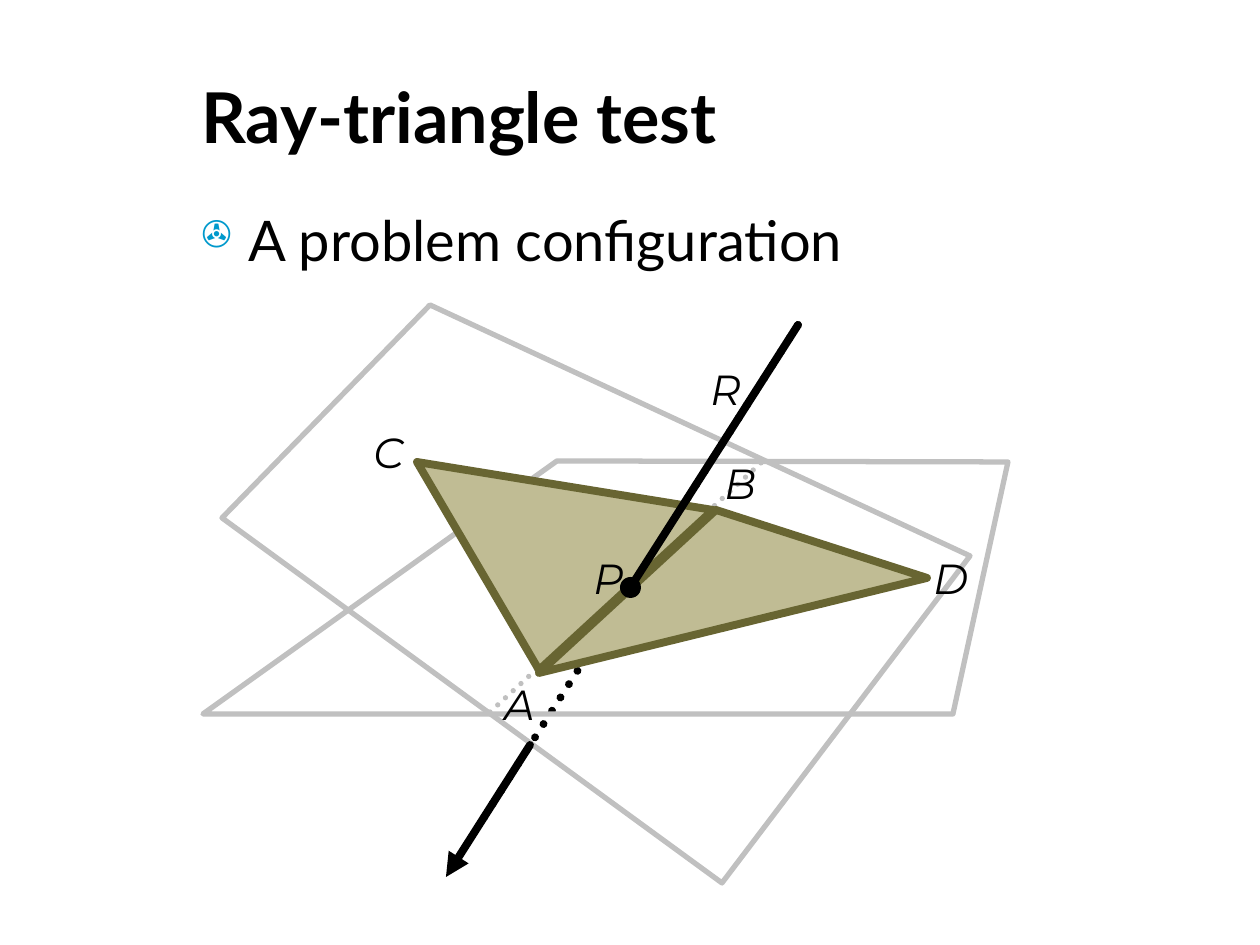
import pptx
import pptx.util
import pptx.dml.color
import pptx.enum.dml
import pptx.enum.shapes
import pptx.enum.text
import pptx.oxml.ns
from dataclasses import dataclass
from lxml import etree

SCALE = 914400 / 126


def px(length):
    return pptx.util.Emu(round(length * SCALE))


def rgb(value):
    return pptx.dml.color.RGBColor.from_string(value)


def add_child(parent, tag, **attributes):
    return etree.SubElement(parent, pptx.oxml.ns.qn(tag), attributes)


@dataclass(frozen=True)
class Theme:
    ink: str = "000000"
    plane: str = "C0C0C0"
    triangle_fill: str = "C0BC94"
    triangle_edge: str = "686532"
    bullet: str = "0099CC"
    text_font: str = "Lato"
    label_font: str = "Montserrat"
    title_size: int = 40
    body_size: int = 32
    label_size: int = 24
    thin: float = 3
    thick: float = 4.5


class Painter:
    def __init__(self, slide, theme):
        self.slide = slide
        self.theme = theme

    def stroke(self, line, color, width, dotted=False, arrow=False):
        line.color.rgb = rgb(color)
        line.width = pptx.util.Pt(width)
        if dotted:
            line.dash_style = pptx.enum.dml.MSO_LINE.ROUND_DOT
        outline = line._get_or_add_ln()
        outline.set("cap", "rnd")
        add_child(outline, "a:round")
        if arrow:
            add_child(outline, "a:tailEnd", type="triangle")

    def text(self, text, left, top, width, height, size, font, bold=False,
             italic=False, wrap=True, anchor=pptx.enum.text.MSO_ANCHOR.TOP):
        box = self.slide.shapes.add_textbox(px(left), px(top), px(width), px(height))
        frame = box.text_frame
        frame.word_wrap = wrap
        frame.vertical_anchor = anchor
        paragraph = frame.paragraphs[0]
        paragraph.text = text
        paragraph.font.size = pptx.util.Pt(size)
        paragraph.font.name = font
        paragraph.font.bold = bold
        paragraph.font.italic = italic
        paragraph.font.color.rgb = rgb(self.theme.ink)
        return paragraph

    def title(self, text):
        self.text(text, 189, 53, 1040, 126, self.theme.title_size, self.theme.text_font,
                  bold=True, anchor=pptx.enum.text.MSO_ANCHOR.MIDDLE)

    def bullet(self, text):
        paragraph = self.text(text, 189, 199, 1040, 97, self.theme.body_size,
                              self.theme.text_font)
        paragraph.space_before = pptx.util.Pt(8)
        properties = paragraph._p.get_or_add_pPr()
        properties.set("marL", str(px(47)))
        properties.set("indent", str(-px(47)))
        defaults = properties.find(pptx.oxml.ns.qn("a:defRPr"))
        color = add_child(properties, "a:buClr")
        add_child(color, "a:srgbClr", val=self.theme.bullet)
        add_child(properties, "a:buSzPct", val="65000")
        add_child(properties, "a:buChar", char="✇")
        properties.append(defaults)

    def label(self, text, left, top):
        self.text(text, left, top, 50, 63, self.theme.label_size,
                  self.theme.label_font, italic=True, wrap=False)

    def polygon(self, points, color, width, fill=None):
        builder = self.slide.shapes.build_freeform(*points[0], scale=SCALE)
        builder.add_line_segments(points[1:], close=True)
        shape = builder.convert_to_shape()
        shape.shadow.inherit = False
        if fill:
            shape.fill.solid()
            shape.fill.fore_color.rgb = rgb(fill)
        else:
            shape.fill.background()
        self.stroke(shape.line, color, width)

    def plane(self, *points):
        self.polygon(points, self.theme.plane, self.theme.thin)

    def triangle(self, *points):
        self.polygon(points, self.theme.triangle_edge, self.theme.thick,
                     self.theme.triangle_fill)

    def line(self, start, end, color, width, dotted=False, arrow=False):
        connector = self.slide.shapes.add_connector(
            pptx.enum.shapes.MSO_CONNECTOR.STRAIGHT,
            *(px(value) for value in (*start, *end)))
        self.stroke(connector.line, color, width, dotted, arrow)
        add_child(connector._element.spPr, "a:effectLst")

    def ray(self, start, end, **options):
        self.line(start, end, self.theme.ink, self.theme.thick, **options)

    def dot(self, left, top, size):
        shape = self.slide.shapes.add_shape(pptx.enum.shapes.MSO_SHAPE.OVAL,
                                            px(left), px(top), px(size), px(size))
        shape.shadow.inherit = False
        shape.fill.solid()
        shape.fill.fore_color.rgb = rgb(self.theme.ink)
        shape.line.fill.background()


def main():
    presentation = pptx.Presentation()
    presentation.slide_width = px(1260)
    presentation.slide_height = px(945)
    slide = presentation.slides.add_slide(presentation.slide_layouts[6])
    theme = Theme()
    painter = Painter(slide, theme)

    ray_start = (798, 325)
    painter.ray(ray_start, (483, 819), dotted=True)
    painter.title("Ray-triangle test")
    painter.bullet("A problem configuration")

    painter.plane((1008, 462), (953, 714), (203, 714), (557, 461))
    painter.plane((430, 305), (970, 556), (722, 883), (222, 518))
    painter.line((490, 712), (762, 462), theme.plane, theme.thin, dotted=True)
    painter.triangle((539, 670), (713, 510), (417, 462))
    painter.triangle((539, 673), (716, 510), (927, 578))
    painter.dot(620, 577, 21)

    labels = {"R": (698, 357), "P": (581, 546), "A": (492, 672),
              "B": (712, 451), "C": (361, 420), "D": (921, 546)}
    for name, position in labels.items():
        painter.label(name, *position)

    painter.ray(ray_start, (630, 588))
    painter.ray((530, 745), (446, 877), arrow=True)
    presentation.save("out.pptx")


if __name__ == "__main__":
    main()
